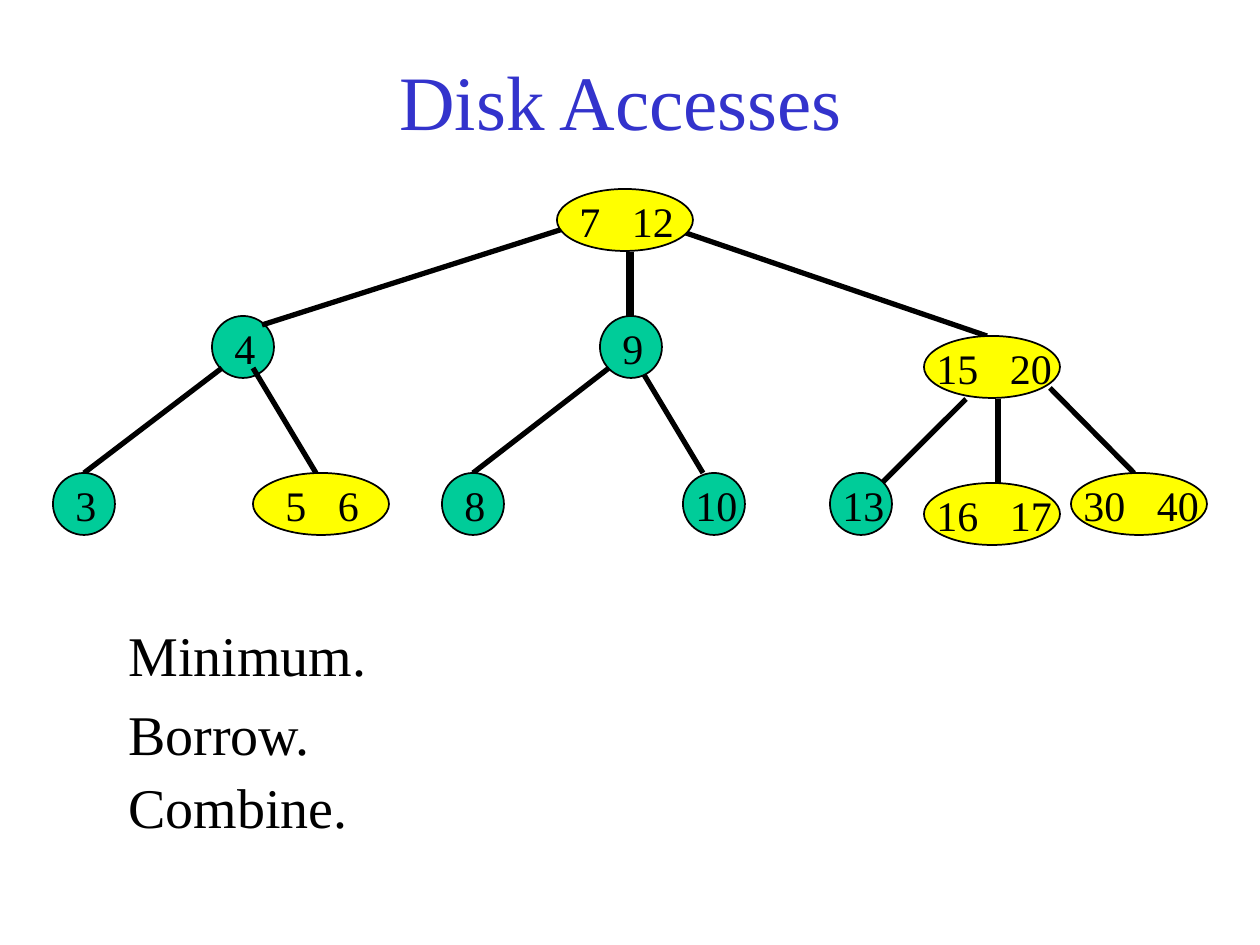
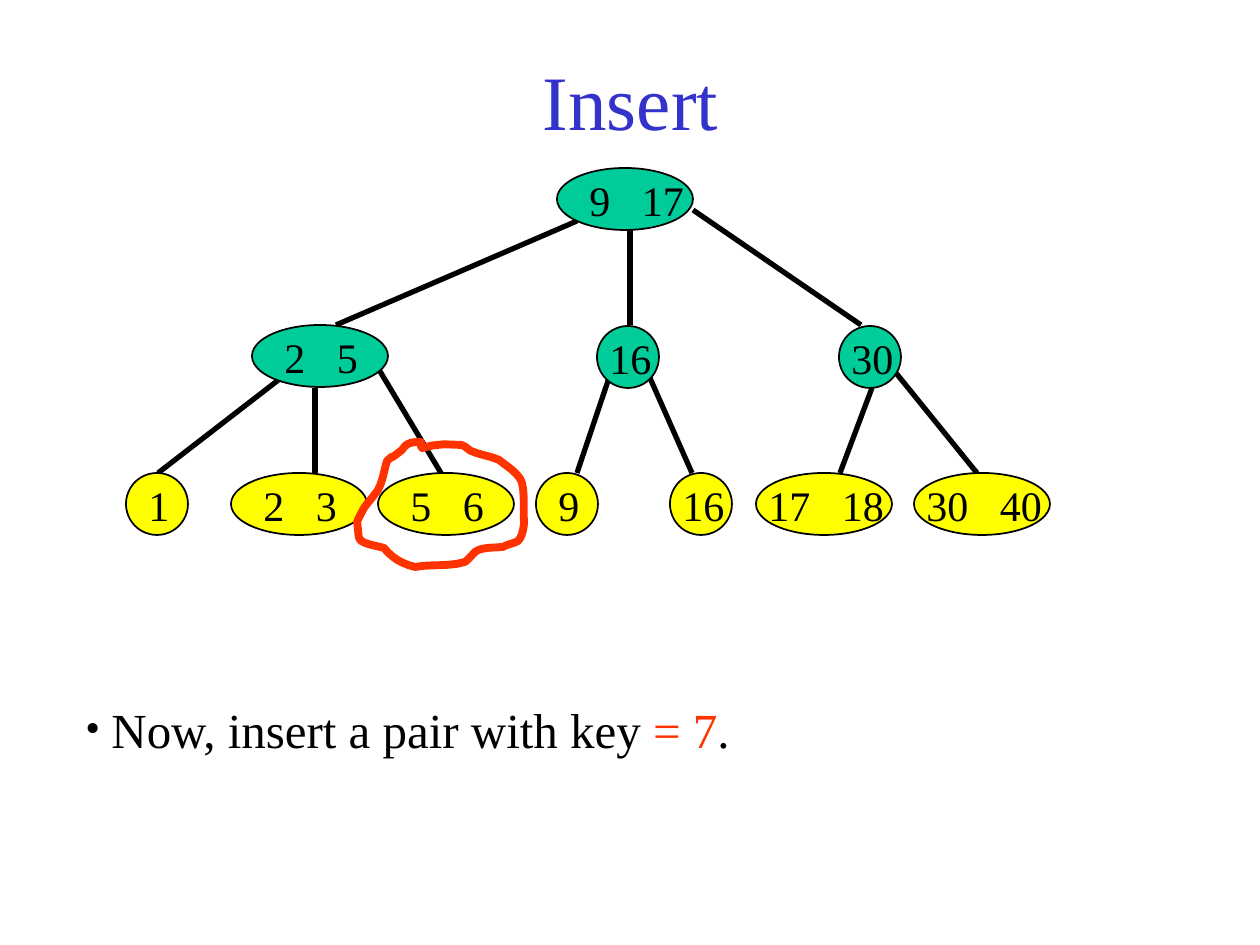
import pptx
import pptx.util
import pptx.dml.color
import pptx.enum.shapes
import pptx.enum.text
from lxml import etree

PX = 914400 / 126
FONT = "Times New Roman"
BLACK, WHITE, BLUE = "000000", "FFFFFF", "3333CC"
GREEN, YELLOW, RED = "00CC99", "FFFF00", "FF3300"
TITLE_BOX = (95, 21, 1071, 158)
NODE_HEIGHT = 62
NODE_WIDTHS = {1: 62, 2: 136}
LABEL_WIDTHS = {(1, 1): 53, (1, 2): 73, (2, 2): 105, (2, 3): 189, (2, 4): 189}
KEY_SIZE, KEY_GAP = 24, 18
DIGIT_INDENT = 10
CURVE_STEPS = 6

DISK_TREE = (53, 189)
DISK_BACK_NODES = [("4", 159, 127)]
DISK_NODES = [
    ("7 12", 504, 0), ("9", 547, 127), ("15 20", 871, 147),
    ("3", 0, 284), ("5 6", 200, 284), ("8", 389, 284), ("10", 630, 284),
    ("13", 777, 284), ("16 17", 871, 294), ("30 40", 1018, 284),
]
DISK_EDGES = [
    (535, 32, 209, 136), (577, 63, 577, 136, 4.5), (598, 32, 934, 147),
    (169, 179, 31, 284), (200, 179, 263, 284),
    (556, 179, 420, 284), (587, 179, 650, 284),
    (913, 210, 829, 294), (945, 210, 945, 294), (997, 199, 1081, 284),
]
OPERATIONS = [("Minimum.", 0), ("Borrow.", 79), ("Combine.", 152)]

INSERT_TREE = (126, 168)
INSERT_NODES = [
    ("9 17", 431, 0, 10), ("2 5", 126, 157), ("16", 471, 158), ("30", 713, 158),
    ("1", 0, 305), ("2 3", 105, 305), ("5 6", 252, 305), ("9", 410, 305),
    ("16", 544, 305), ("17 18", 630, 305), ("30 40", 788, 305),
]
INSERT_EDGES = [
    (451, 53, 210, 157), (504, 53, 504, 157), (567, 42, 735, 157),
    (168, 200, 32, 305), (189, 220, 189, 305), (252, 200, 315, 305),
    (483, 210, 451, 305), (524, 210, 566, 305),
    (746, 220, 714, 305), (766, 200, 851, 305),
]
LOOP_START = (64, 2)
LOOP_CURVES = [
    ((60, 2), (55, 2), (51, 4)), ((49, 5), (47, 7), (45, 10)),
    ((25, 26), (42, 10), (30, 21)), ((27, 30), (26, 41), (21, 50)),
    ((17, 56), (12, 61), (7, 68)), ((5, 72), (2, 77), (0, 82)),
    ((1, 87), (1, 93), (2, 98)), ((3, 104), (21, 106), (27, 108)),
    ((35, 118), (45, 124), (58, 127)), ((74, 124), (92, 127), (108, 122)),
    ((112, 119), (114, 116), (118, 112)), ((124, 107), (137, 108), (146, 107)),
    ((151, 104), (156, 104), (161, 101)), ((166, 97), (167, 83), (167, 83)),
    ((166, 70), (168, 56), (165, 43)), ((163, 34), (148, 25), (142, 20)),
    ((133, 16), (123, 15), (114, 11)), ((113, 11), (107, 5), (104, 5)),
    ((63, 1), (64, 16), (64, 2)),
]


def emu(*lengths):
    return [round(length * PX) for length in lengths]


def rgb(color):
    return pptx.dml.color.RGBColor.from_string(color)


def add_xml(parent, tag, **attributes):
    return etree.SubElement(parent, pptx.oxml.ns.qn(tag), attributes)


def set_line(line, color, width):
    line.color.rgb = rgb(color)
    line.width = pptx.util.Pt(width)


def set_font(font, size, color):
    font.name = FONT
    font.size = pptx.util.Pt(size)
    font.color.rgb = rgb(color)


def add_text(shapes, box, text, size, color=BLACK):
    label = shapes.add_textbox(*emu(*box))
    label.text_frame.word_wrap = True
    label.text_frame.text = text
    paragraph = label.text_frame.paragraphs[0]
    for run in paragraph.runs:
        set_font(run.font, size, color)
    return label


def add_title(slide, text):
    title = add_text(slide.shapes, TITLE_BOX, text, 44, BLUE)
    title.text_frame.vertical_anchor = pptx.enum.text.MSO_ANCHOR.MIDDLE
    title.text_frame.paragraphs[0].alignment = pptx.enum.text.PP_ALIGN.CENTER


def add_node(shapes, origin, color_of, keys_text, x, y, nudge=0):
    keys = keys_text.split()
    digits = sum(map(len, keys))
    left, top = origin[0] + x, origin[1] + y
    oval = shapes.add_shape(
        pptx.enum.shapes.MSO_SHAPE.OVAL,
        *emu(left, top, NODE_WIDTHS[len(keys)], NODE_HEIGHT))
    oval.shadow.inherit = False
    oval.fill.solid()
    oval.fill.fore_color.rgb = rgb(color_of(keys, y))
    set_line(oval.line, BLACK, 1)
    indent = DIGIT_INDENT * (2 * len(keys) - digits) + nudge
    label_box = (left + indent, top, LABEL_WIDTHS[len(keys), digits], 63)
    label = add_text(shapes, label_box, "\t".join(keys), KEY_SIZE)
    if len(keys) > 1:
        stop = pptx.util.Pt(len(keys[0]) * KEY_SIZE / 2 + KEY_GAP)
        properties = label.text_frame.paragraphs[0]._p.get_or_add_pPr()
        tabs = add_xml(properties, "a:tabLst")
        add_xml(tabs, "a:tab", pos=str(int(stop)), algn="l")


def add_edge(shapes, origin, x1, y1, x2, y2, width=3):
    left, top = origin
    edge = shapes.add_connector(
        pptx.enum.shapes.MSO_CONNECTOR.STRAIGHT,
        *emu(left + x1, top + y1, left + x2, top + y2))
    set_line(edge.line, BLACK, width)
    add_xml(edge._element.spPr, "a:effectLst")


def add_tree(shapes, origin, color_of, edges, nodes, back_nodes=()):
    for node in back_nodes:
        add_node(shapes, origin, color_of, *node)
    for edge in edges:
        add_edge(shapes, origin, *edge)
    for node in nodes:
        add_node(shapes, origin, color_of, *node)


def curve_points(start, curves):
    for first, second, end in curves:
        for step in range(1, CURVE_STEPS + 1):
            t = step / CURVE_STEPS
            weights = ((1 - t) ** 3, 3 * t * (1 - t) ** 2, 3 * t * t * (1 - t), t ** 3)
            yield tuple(
                sum(weight * point[axis] for weight, point
                    in zip(weights, (start, first, second, end)))
                for axis in (0, 1))
        start = end


def add_loop(slide, left, top):
    def place(point):
        return emu(left + point[0], top + point[1])

    builder = slide.shapes.build_freeform(*place(LOOP_START))
    points = curve_points(LOOP_START, LOOP_CURVES)
    builder.add_line_segments([place(point) for point in points], close=True)
    loop = builder.convert_to_shape()
    loop.shadow.inherit = False
    loop.fill.background()
    set_line(loop.line, RED, 4.5)


def add_operations(slide, left, top, width, height):
    for operation, offset in OPERATIONS:
        label = add_text(slide.shapes, (left, top + offset, width, height), operation, 32)
        label.fill.solid()
        label.fill.fore_color.rgb = rgb(WHITE)


def add_task(slide, box):
    task = add_text(slide.shapes, box, "Now, insert a pair with key ", 28)
    paragraph = task.text_frame.paragraphs[0]
    for text, color in (("= 7", RED), (".", BLACK)):
        run = paragraph.add_run()
        run.text = text
        set_font(run.font, 28, color)
    indent = emu(26)[0]
    properties = paragraph._p.get_or_add_pPr()
    properties.set("marL", str(indent))
    properties.set("indent", str(-indent))
    add_xml(properties, "a:buSzPct", val="86000")
    add_xml(properties, "a:buFont", typeface=FONT)
    add_xml(properties, "a:buChar", char="•")


def add_disk_slide(slide):
    def color_by_key_count(keys, y):
        return YELLOW if len(keys) > 1 else GREEN

    add_title(slide, "Disk Accesses ")
    add_operations(slide, 116, 614, 315, 79)
    tree = slide.shapes.add_group_shape()
    add_tree(tree.shapes, DISK_TREE, color_by_key_count,
             DISK_EDGES, DISK_NODES, DISK_BACK_NODES)


def add_insert_slide(slide):
    leaf_level = max(node[2] for node in INSERT_NODES)

    def color_by_level(keys, y):
        return YELLOW if y == leaf_level else GREEN

    add_title(slide, "Insert")
    add_task(slide, (73, 693, 840, 72))
    add_tree(slide.shapes, INSERT_TREE, color_by_level, INSERT_EDGES, INSERT_NODES)
    add_loop(slide, 357, 440)


def main():
    presentation = pptx.Presentation()
    presentation.slide_width, presentation.slide_height = emu(1260, 945)
    blank = presentation.slide_layouts[6]
    for build in (add_disk_slide, add_insert_slide):
        build(presentation.slides.add_slide(blank))
    presentation.save("out.pptx")


if __name__ == "__main__":
    main()
